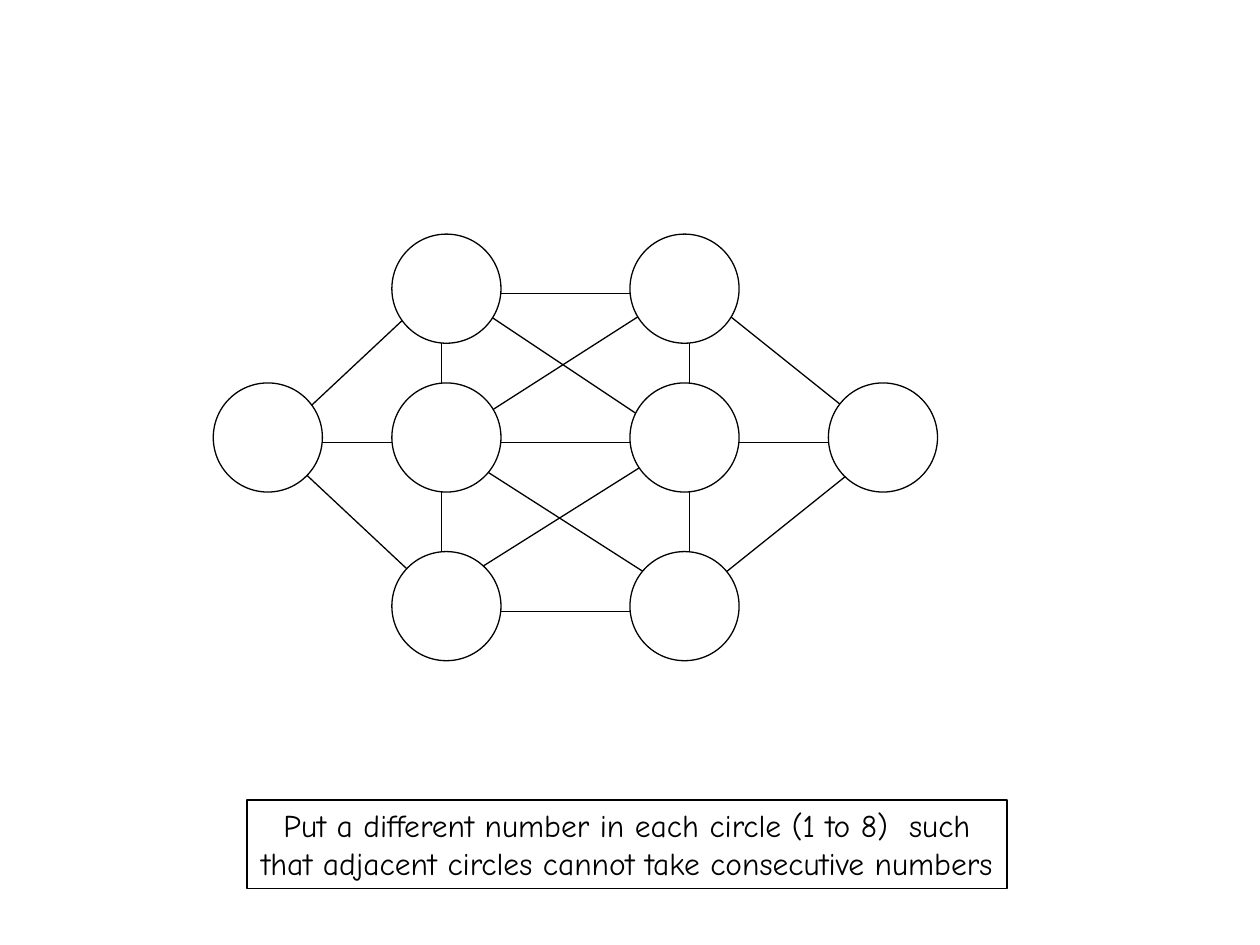
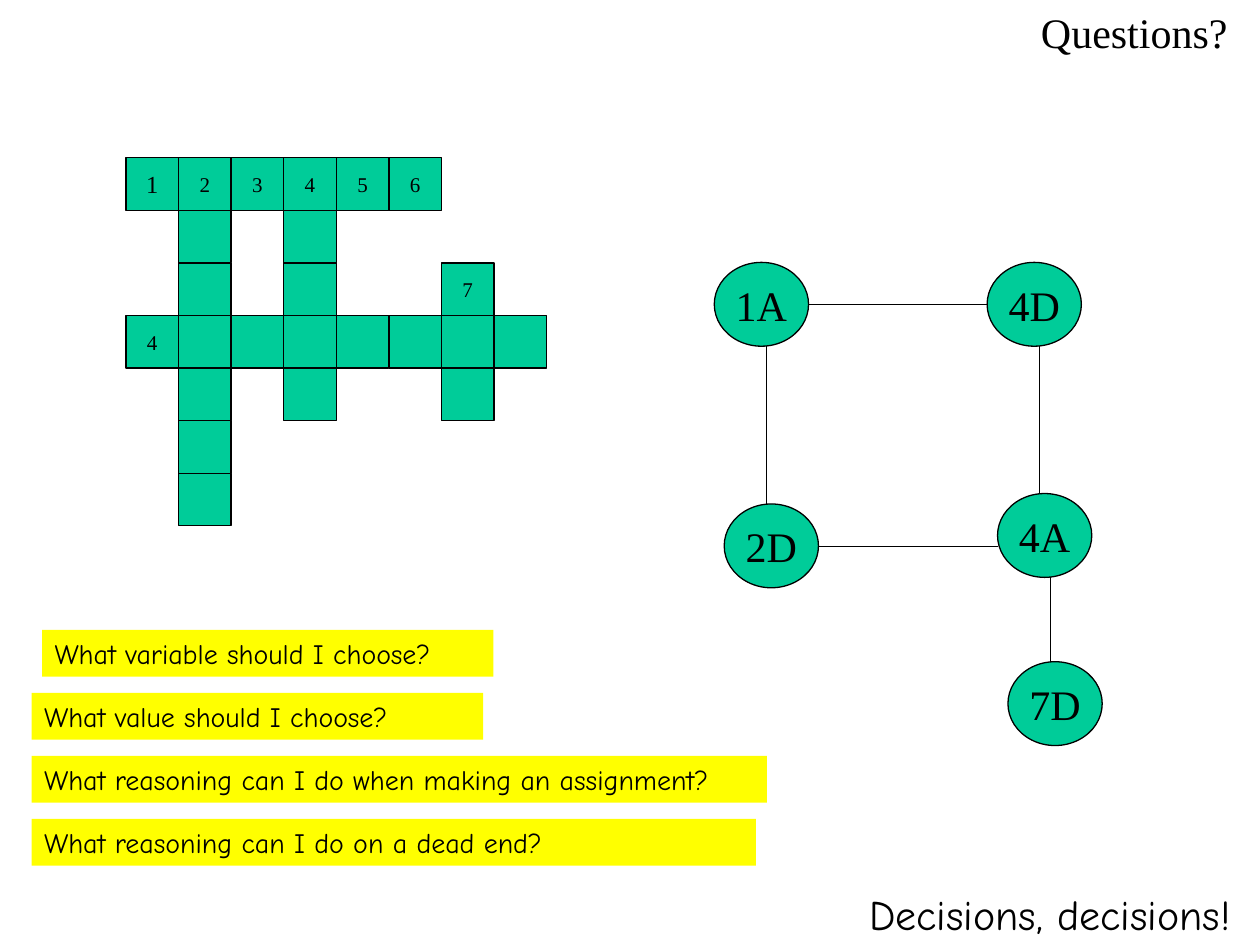
from dataclasses import dataclass

from lxml.etree import SubElement
from pptx import Presentation
from pptx.dml.color import RGBColor
from pptx.enum.shapes import MSO_CONNECTOR, MSO_SHAPE
from pptx.enum.text import MSO_ANCHOR, MSO_AUTO_SIZE, PP_ALIGN
from pptx.oxml.ns import qn
from pptx.util import Cm, Pt

BLACK = RGBColor(0x00, 0x00, 0x00)
WHITE = RGBColor(0xFF, 0xFF, 0xFF)
GREEN = RGBColor(0x00, 0xCC, 0x99)
YELLOW = RGBColor(0xFF, 0xFF, 0x00)
SERIF = "Times New Roman"
COMIC = "Comic Neue"
LINE_WIDTH = Pt(0.74)


@dataclass(frozen=True)
class Box:
    x: float
    y: float
    w: float
    h: float


@dataclass(frozen=True)
class Style:
    font: str
    size: float
    align: PP_ALIGN = PP_ALIGN.LEFT
    anchor: MSO_ANCHOR = MSO_ANCHOR.TOP
    wrap: bool = True
    fit: MSO_AUTO_SIZE = MSO_AUTO_SIZE.SHAPE_TO_FIT_TEXT


@dataclass(frozen=True)
class Node:
    label: str
    x: float
    y: float


@dataclass(frozen=True)
class Link:
    x1: float
    y1: float
    x2: float
    y2: float


@dataclass(frozen=True)
class Question:
    text: str
    x: float
    w: float


def label_style(size: float) -> Style:
    return Style(SERIF, size, PP_ALIGN.CENTER, MSO_ANCHOR.MIDDLE, False, MSO_AUTO_SIZE.NONE)


CAPTION = Style(COMIC, 18, PP_ALIGN.CENTER, wrap=False)
QUESTION = Style(COMIC, 16)
TITLE = Style(SERIF, 24)
REMARK = Style(COMIC, 24, wrap=False)
NODE_LABEL = label_style(24)


def place(sp, box: Box) -> None:
    sp.left, sp.top, sp.width, sp.height = Cm(box.x), Cm(box.y), Cm(box.w), Cm(box.h)


def write(sp, text: str, style: Style) -> None:
    tf = sp.text_frame
    tf.text = text
    tf.word_wrap = style.wrap
    tf.auto_size = style.fit
    tf.vertical_anchor = style.anchor
    for p in tf.paragraphs:
        p.alignment = style.align
        for r in p.runs:
            r.font.name = style.font
            r.font.size = Pt(style.size)
            r.font.color.rgb = BLACK


def add_shape(s, kind: MSO_SHAPE, box: Box, fill: RGBColor | None, outlined: bool = True):
    sp = s.shapes.add_shape(kind, Cm(box.x), Cm(box.y), Cm(box.w), Cm(box.h))
    sp.shadow.inherit = False
    if fill is None:
        sp.fill.background()
    else:
        sp.fill.solid()
        sp.fill.fore_color.rgb = fill
    if outlined:
        sp.line.color.rgb = BLACK
        sp.line.width = LINE_WIDTH
    else:
        sp.line.fill.background()
    return sp


def add_link(s, link: Link) -> None:
    c = s.shapes.add_connector(
        MSO_CONNECTOR.STRAIGHT, Cm(link.x1), Cm(link.y1), Cm(link.x2), Cm(link.y2)
    )
    c.line.color.rgb = BLACK
    c.line.width = LINE_WIDTH
    SubElement(c._element.spPr, qn("a:effectLst"))


DIAMETER = 2.2
LEFT, MID_LEFT, MID_RIGHT, RIGHT = 4.3, 7.9, 12.7, 16.7
TOP, MIDDLE, BOTTOM = 4.72, 7.72, 11.12
CIRCLES = [(x, y) for x in (MID_LEFT, MID_RIGHT) for y in (TOP, MIDDLE, BOTTOM)]
CIRCLES += [(LEFT, MIDDLE), (RIGHT, MIDDLE)]

HUBS = {
    "west": (5.48, 8.92),
    "top left": (8.9, 5.72),
    "mid left": (8.9, 8.92),
    "low left": (8.9, 12.12),
    "top right": (13.9, 5.72),
    "mid right": (13.7, 8.92),
    "low right": (13.9, 12.12),
    "east": (17.9, 8.92),
}
HUB_PAIRS = [
    ("west", "top left"), ("west", "mid left"), ("west", "low left"),
    ("top left", "low left"), ("top right", "low right"),
    ("top left", "mid right"), ("mid left", "top right"),
    ("mid left", "mid right"), ("mid left", "low right"),
    ("east", "top right"), ("east", "mid right"), ("east", "low right"),
]
PUZZLE_LINKS = [Link(*HUBS[a], *HUBS[b]) for a, b in HUB_PAIRS]
PUZZLE_LINKS += [Link(10.1, y, MID_RIGHT, y) for y in (5.92, 12.32)]
PUZZLE_LINKS.append(Link(8.9, 11.94, *HUBS["mid right"]))

CELL = 1.06
GRID_X, GRID_Y = 2.54, 3.18
CROSSWORD = [
    "123456",
    ".#.#",
    ".#.#..7",
    "4#######",
    ".#.#..#",
    ".#",
    ".#",
]

NODES = [
    Node("1A", 14.4, 5.29),
    Node("4D", 19.9, 5.29),
    Node("2D", 14.6, 10.16),
    Node("7D", 20.32, 13.34),
    Node("4A", 20.11, 9.95),
]
NODE_LINKS = [
    Link(16.3, 6.14, 19.9, 6.14),
    Link(15.45, 6.98, 15.45, 10.16),
    Link(16.5, 11.01, 20.11, 11.01),
    Link(20.96, 6.98, 20.96, 9.95),
    Link(21.17, 11.64, 21.17, 13.34),
]

QUESTIONS = [
    Question("What variable should I choose?", 0.85, 9.1),
    Question("What value should I choose?", 0.64, 9.1),
    Question("What reasoning can I do when making an assignment?", 0.64, 14.82),
    Question("What reasoning can I do on a dead end?", 0.64, 14.6),
]


def build_puzzle(prs) -> None:
    s = prs.slides.add_slide(prs.slide_layouts[6])
    for link in PUZZLE_LINKS:
        add_link(s, link)
    for x, y in CIRCLES:
        add_shape(s, MSO_SHAPE.OVAL, Box(x, y, DIAMETER, DIAMETER), WHITE)
    sp = add_shape(s, MSO_SHAPE.RECTANGLE, Box(4.98, 16.13, 15.32, 1.78), None)
    write(
        sp,
        "Put a different number in each circle (1 to 8)  such\n"
        "that adjacent circles cannot take consecutive numbers",
        CAPTION,
    )


def add_crossword(s) -> None:
    for row, line in enumerate(CROSSWORD):
        for col, mark in enumerate(line):
            if mark == ".":
                continue
            box = Box(GRID_X + col * CELL, GRID_Y + row * CELL, CELL, CELL)
            sp = add_shape(s, MSO_SHAPE.RECTANGLE, box, GREEN)
            if mark != "#":
                write(sp, mark, label_style(14 if mark == "1" else 12))


def build_questions(prs) -> None:
    s = prs.slides.add_slide(prs.slide_layouts[5])
    place(s.shapes.title, Box(20.73, 0, 4.65, 1.27))
    write(s.shapes.title, "Questions?", TITLE)
    add_crossword(s)
    for node in NODES:
        sp = add_shape(s, MSO_SHAPE.OVAL, Box(node.x, node.y, 1.9, 1.69), GREEN)
        write(sp, node.label, NODE_LABEL)
    for link in NODE_LINKS:
        add_link(s, link)
    for i, q in enumerate(QUESTIONS):
        box = Box(q.x, 12.7 + i * 1.27, q.w, 0.94)
        sp = add_shape(s, MSO_SHAPE.RECTANGLE, box, YELLOW, outlined=False)
        write(sp, q.text, QUESTION)
    sp = s.shapes.add_textbox(Cm(17.27), Cm(17.78), Cm(7.8), Cm(1.27))
    write(sp, "Decisions, decisions!", REMARK)


prs = Presentation()
prs.slide_width = Cm(25.4)
prs.slide_height = Cm(19.05)
build_puzzle(prs)
build_questions(prs)
prs.save("out.pptx")
